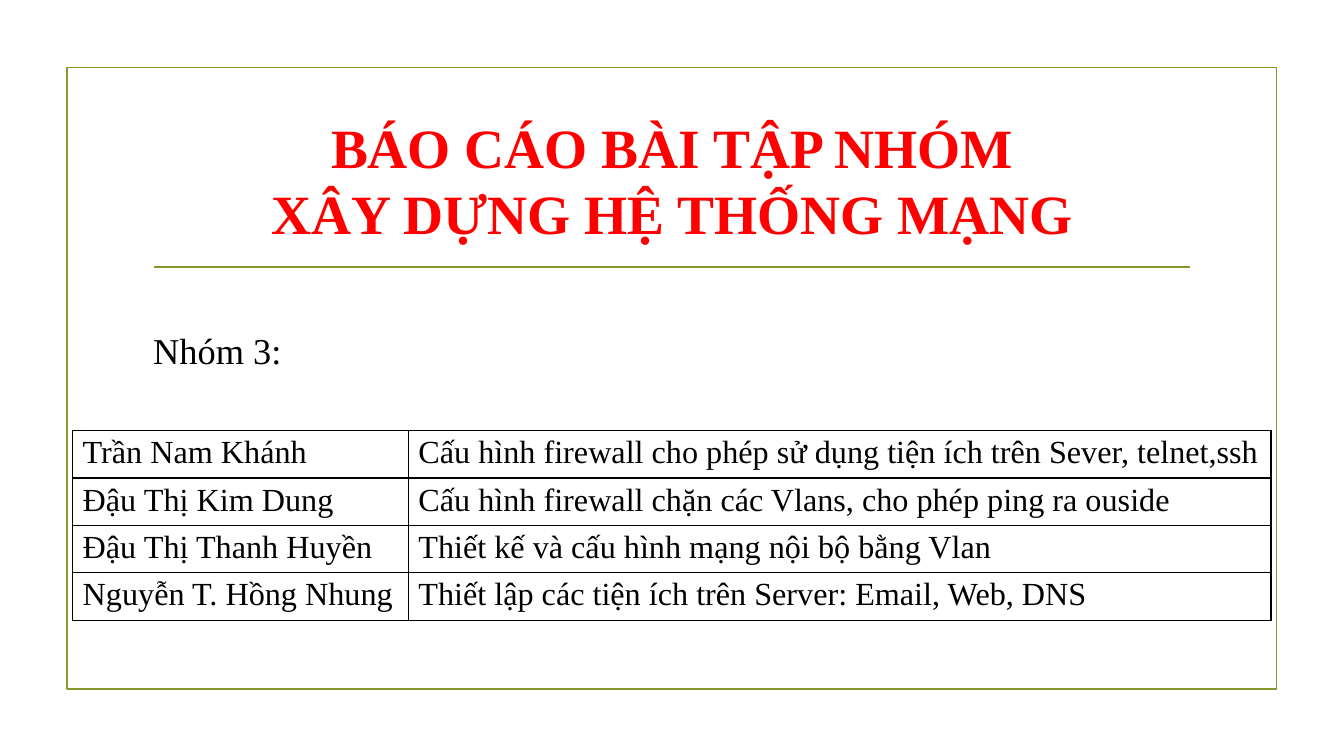
import pptx
import pptx.dml.color
import pptx.enum.shapes
import pptx.enum.text
import pptx.util
from lxml import etree

Cm, Pt = pptx.util.Cm, pptx.util.Pt
ALIGN = pptx.enum.text.PP_ALIGN
ANCHOR = pptx.enum.text.MSO_ANCHOR

# Content
TITLE = "BÁO CÁO BÀI TẬP NHÓM\vXÂY DỰNG HỆ THỐNG MẠNG"
GROUP = "Nhóm 3:"
TASKS = [
    ("Trần Nam Khánh", "Cấu hình firewall cho phép sử dụng tiện ích trên Sever, telnet,ssh"),
    ("Đậu Thị Kim Dung", "Cấu hình firewall chặn các Vlans, cho phép ping ra ouside"),
    ("Đậu Thị Thanh Huyền", "Thiết kế và cấu hình mạng nội bộ bằng Vlan"),
    ("Nguyễn T. Hồng Nhung", "Thiết lập các tiện ích trên Server: Email, Web, DNS"),
]
FONT, GREEN, RED, BLACK = "Times New Roman", "83992A", "FF0000", "000000"
WIDTHS = (8.46, 21.74)
HEIGHTS = (1.19, 1.16, 1.16, 1.16)


def color(code):
    return pptx.dml.color.RGBColor.from_string(code)


def write(frame, text, size, tint=BLACK, bold=False, align=ALIGN.LEFT, space=None):
    frame.word_wrap = True
    par = frame.paragraphs[0]
    par.text = text
    par.alignment = align
    if space:
        par.line_spacing = Pt(space)
    for run in par.runs:
        font = run.font
        font.name, font.size, font.bold = FONT, Pt(size), bold
        font.color.rgb = color(tint)


def place(shape, left, top, width, height):
    shape.left, shape.top = Cm(left), Cm(top)
    shape.width, shape.height = Cm(width), Cm(height)


def stroke(line):
    line.color.rgb = color(GREEN)
    line.width = Pt(1.25)


def border(cell, code, width):
    props = cell._tc.get_or_add_tcPr()
    ns = "{http://schemas.openxmlformats.org/drawingml/2006/main}"
    for spot, side in enumerate(("lnL", "lnR", "lnT", "lnB")):
        edge = etree.Element(ns + side, w=str(Pt(width)))
        fill = etree.SubElement(edge, ns + "solidFill")
        etree.SubElement(fill, ns + "srgbClr", val=code)
        props.insert(spot, edge)


deck = pptx.Presentation()
deck.slide_width, deck.slide_height = Cm(33.87), Cm(19.05)
slide = deck.slides.add_slide(deck.slide_layouts[5])
shapes = slide.shapes

# Frame and rule
frame = shapes.add_shape(pptx.enum.shapes.MSO_SHAPE.RECTANGLE,
                         Cm(1.69), Cm(1.7), Cm(30.48), Cm(15.67))
frame.shadow.inherit = False
frame.fill.background()
stroke(frame.line)
rule = shapes.add_connector(pptx.enum.shapes.MSO_CONNECTOR.STRAIGHT,
                            Cm(3.89), Cm(6.73), Cm(30), Cm(6.73))
stroke(rule.line)
etree.SubElement(rule._element.spPr, pptx.oxml.ns.qn("a:effectLst"))

# Title
title = shapes.title
place(title, 3.61, 2.72, 26.67, 3.63)
title.text_frame.vertical_anchor = ANCHOR.MIDDLE
write(title.text_frame, TITLE, 39.6, RED, True, ALIGN.CENTER, 47)

# Group label
label = shapes.add_textbox(Cm(3.61), Cm(8.15), Cm(4.37), Cm(1.37))
write(label.text_frame, GROUP, 26)

# Task table
grid = shapes.add_table(len(TASKS), len(WIDTHS), Cm(1.83), Cm(10.85),
                        Cm(sum(WIDTHS)), Cm(sum(HEIGHTS))).table
grid.first_row = grid.horz_banding = False
for col, width in zip(grid.columns, WIDTHS):
    col.width = Cm(width)
for row, height, texts in zip(grid.rows, HEIGHTS, TASKS):
    row.height = Cm(height)
    for cell, text in zip(row.cells, texts):
        cell.margin_top = cell.margin_bottom = Cm(0.11)
        cell.fill.background()
        write(cell.text_frame, text, 23)
        border(cell, BLACK, 1)

deck.save("out.pptx")
